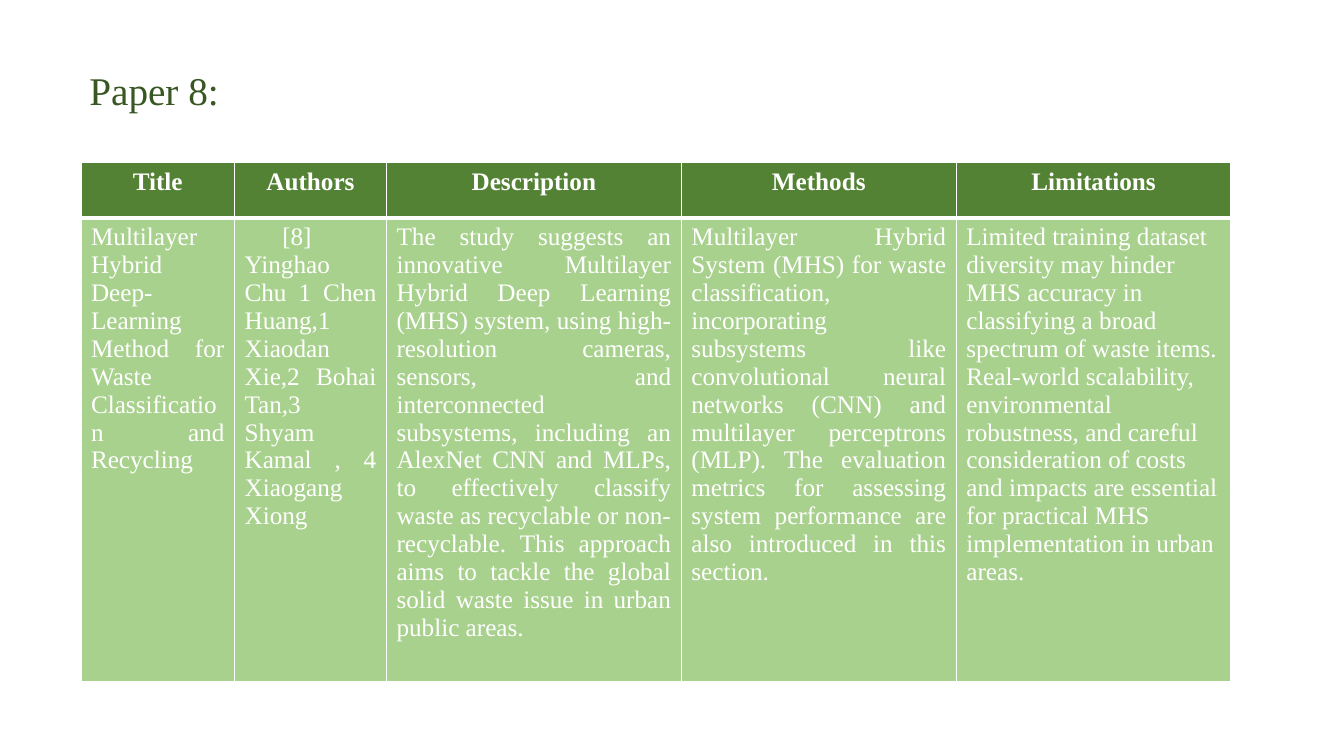
from dataclasses import dataclass

from pptx import Presentation
from pptx.dml.color import RGBColor as Rgb
from pptx.enum.text import MSO_ANCHOR as Anchor, PP_ALIGN as Align
from pptx.oxml.ns import qn
from pptx.util import Cm, Pt
from lxml.etree import SubElement as Sub


@dataclass(frozen=True)
class Theme:
    font: str = "Times New Roman"
    title: str = "385723"
    head: str = "548235"
    body: str = "A9D18E"
    white: str = "FFFFFF"
    big: int = 28
    small: int = 18


HEADS = ["Title", "Authors", "Description", "Methods", "Limitations"]
WIDTHS = [3.87, 3.83, 7.43, 6.93, 6.92]
BODY = [
    ["Multilayer Hybrid Deep-Learning Method for Waste Classification and Recycling"],
    ["[8]",
     "Yinghao Chu 1 Chen Huang,1 Xiaodan Xie,2 Bohai Tan,3 Shyam Kamal , 4 "
     "Xiaogang Xiong"],
    ["The study suggests an innovative Multilayer Hybrid Deep Learning (MHS) system, "
     "using high-resolution cameras, sensors, and interconnected subsystems, including "
     "an AlexNet CNN and MLPs, to effectively classify waste as recyclable or "
     "non-recyclable. This approach aims to tackle the global solid waste issue in "
     "urban public areas."],
    ["Multilayer Hybrid System (MHS) for waste classification, incorporating subsystems "
     "like convolutional neural networks (CNN) and multilayer perceptrons (MLP). The "
     "evaluation metrics for assessing system performance are also introduced in this "
     "section."],
    ["Limited training dataset diversity may hinder MHS accuracy in classifying a broad "
     "spectrum of waste items.",
     "Real-world scalability, environmental robustness, and careful consideration of "
     "costs and impacts are essential for practical MHS implementation in urban areas."],
]


class Page:
    def __init__(self, slide, theme):
        self.slide = slide
        self.theme = theme

    def text(self, frame, lines, color, size, bold=False, **form):
        """Fill a text frame, one paragraph per line, with paragraph format values."""
        look = {"name": self.theme.font, "size": Pt(size), "bold": bold}
        for num, line in enumerate(lines):
            para = frame.add_paragraph() if num else frame.paragraphs[0]
            run = para.add_run()
            run.text = line
            for key, value in form.items():
                setattr(para, key, value)
            for key, value in look.items():
                setattr(run.font, key, value)
            run.font.color.rgb = Rgb.from_string(color)

    def title(self, text, *area):
        frame = self.slide.shapes.add_textbox(*map(Cm, area)).text_frame
        frame.word_wrap = True
        frame.vertical_anchor = Anchor.BOTTOM
        self.text(frame, [text], self.theme.title, self.theme.big,
                  alignment=Align.CENTER, line_spacing=0.9)

    def edge(self, cell, **sides):
        """Draw white cell borders; each side gives its width in points."""
        props = cell._tc.get_or_add_tcPr()
        for side, width in sides.items():
            line = Sub(props, qn(f"a:ln{side}"), w=str(Pt(width)))
            fill = Sub(line, qn("a:solidFill"))
            Sub(fill, qn("a:srgbClr"), val=self.theme.white)

    def cell(self, cell, lines, fill, edges, **form):
        self.edge(cell, **edges)
        cell.fill.solid()
        cell.fill.fore_color.rgb = Rgb.from_string(fill)
        self.text(cell.text_frame, lines, self.theme.white, self.theme.small, **form)

    def table(self, left, top, widths, heights):
        area = map(Cm, (left, top, sum(widths), sum(heights)))
        grid = self.slide.shapes.add_table(len(heights), len(widths), *area).table
        for row, height in zip(grid.rows, heights):
            row.height = Cm(height)
        for col, width in enumerate(widths):
            grid.columns[col].width = Cm(width)
            self.cell(grid.cell(0, col), [HEADS[col]], self.theme.head,
                      {"L": 1, "R": 1, "T": 1, "B": 3},
                      bold=True, alignment=Align.CENTER)
            last = col == len(widths) - 1
            self.cell(grid.cell(1, col), BODY[col], self.theme.body,
                      {"L": 1, "R": 1, "T": 3, "B": 1},
                      alignment=Align.LEFT if last else Align.JUSTIFY)
        return grid


def main():
    deck = Presentation()
    deck.slide_width, deck.slide_height = Cm(33.87), Cm(19.05)
    page = Page(deck.slides.add_slide(deck.slide_layouts[6]), Theme())
    page.title("Paper 8:", 1.8, 1.3, 4.17, 1.7)
    grid = page.table(2.04, 4.1, WIDTHS, [1.4, 10.87])
    mark = grid.cell(1, 1).text_frame.paragraphs[0]
    mark._p.get_or_add_pPr().set("indent", str(Cm(0.95)))
    deck.save("out.pptx")


if __name__ == "__main__":
    main()
